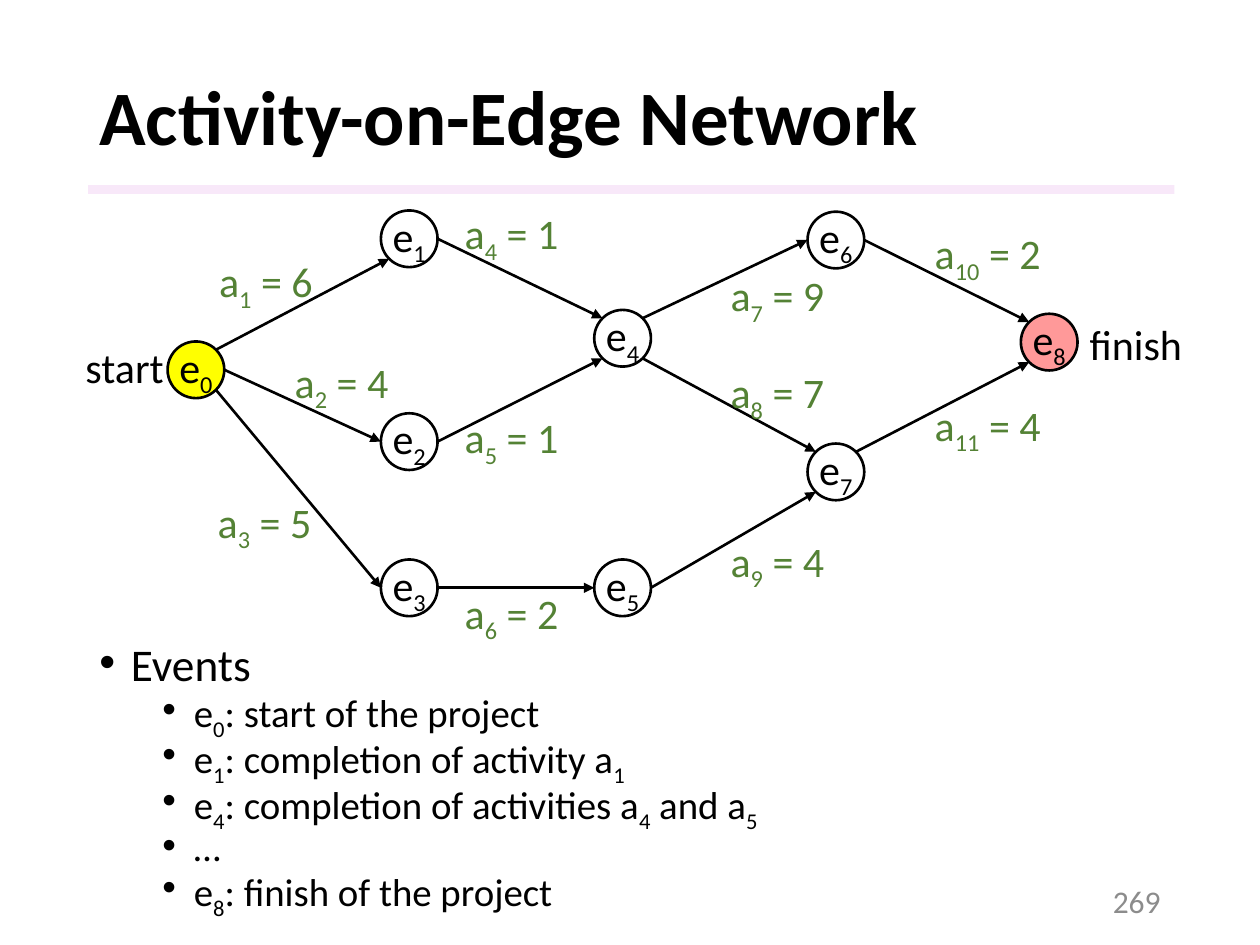
import math

from lxml import etree
from pptx import Presentation
from pptx import util as u
from pptx.dml.color import RGBColor
from pptx.enum import shapes, text
from pptx.oxml import ns

COLORS = {"ink": "000000", "activity": "548235", "number": "8C8C8C",
          "rule": "F3D2F4", "start": "FFFF00", "finish": "FF9999"}
COLUMNS, ROWS = 100, 75
DIAMETER = 4.5

# Events: network column and top row
EVENTS = {0: (0, 27.1), 1: (1, 16.7), 2: (1, 32.8), 3: (1, 44.4), 4: (2, 24.6),
          5: (2, 44.4), 6: (3, 16.8), 7: (3, 35.2), 8: (4, 24.9)}
EVENT_FILLS = {0: "start", 8: "finish"}

# Activities: from event, leaving angle, to event, arriving angle, duration, label place
ACTIVITIES = [
    (0, -45, 1, 135, 6, (16.4, 19.8)),
    (0, 0, 2, 180, 4, (22.4, 27.8)),
    (0, 45, 3, 180, 5, (16.3, 38.9)),
    (1, 0, 4, 225, 1, (35.9, 16)),
    (2, 0, 4, 135, 1, (35.9, 32.2)),
    (3, 0, 5, 180, 2, (35.9, 46.1)),
    (4, -45, 6, 180, 9, (57, 20.9)),
    (4, 45, 7, 225, 7, (57, 28.6)),
    (5, 0, 7, 135, 4, (57, 42)),
    (6, 0, 8, 225, 2, (73.2, 17.6)),
    (7, -45, 8, 135, 4, (73.2, 31.2)),
]

NOTES = ["e[0]: start of the project", "e[1]: completion of activity a[1]",
         "e[4]: completion of activities a[4] and a[5]", "…",
         "e[8]: finish of the project"]


class Board:
    """Holds the style and the current slide; lengths are grid columns and rows."""

    font = "Calibri"

    def __init__(self, deck):
        self.slide = deck.slides.add_slide(deck.slide_layouts[6])
        self.cell = deck.slide_width / COLUMNS, deck.slide_height / ROWS

    def place(self, *lengths):
        return [u.Emu(round(n * self.cell[i % 2])) for i, n in enumerate(lengths)]

    def color(self, name):
        return RGBColor.from_string(COLORS[name])

    def add_words(self, paragraph, words, size, color="ink", **formats):
        """Words in [brackets] are set as subscripts."""
        for i, part in enumerate(words.replace("]", "[").split("[")):
            if not part:
                continue
            run = paragraph.add_run()
            run.text = part
            values = {"name": self.font, "size": u.Pt(size), **formats}
            for key, value in values.items():
                setattr(run.font, key, value)
            run.font.color.rgb = self.color(color)
            if i % 2:
                run._r.get_or_add_rPr().set("baseline", "-25000")

    def frame(self, at, **formats):
        frame = self.slide.shapes.add_textbox(*self.place(*at)).text_frame
        for key, value in {"word_wrap": True, **formats}.items():
            setattr(frame, key, value)
        return frame

    def label(self, at, words, color="ink"):
        frame = self.frame(at, word_wrap=False,
                           auto_size=text.MSO_AUTO_SIZE.SHAPE_TO_FIT_TEXT)
        self.add_words(frame.paragraphs[0], words, 24, color)

    def shape(self, kind, at, fill=None):
        shape = self.slide.shapes.add_shape(kind, *self.place(*at))
        shape.shadow.inherit = False
        if fill:
            shape.fill.solid()
            shape.fill.fore_color.rgb = self.color(fill)
        else:
            shape.fill.background()
        return shape

    def rule(self, at):
        bar = self.shape(shapes.MSO_SHAPE.RECTANGLE, at, "rule")
        bar.line.fill.background()
        tint = bar._element.spPr.find(".//" + ns.qn("a:srgbClr"))
        etree.SubElement(tint, ns.qn("a:alpha"), val="50000")

    def event(self, left, top, words, fill):
        node = self.shape(shapes.MSO_SHAPE.OVAL, (left, top, DIAMETER, DIAMETER), fill)
        node.line.color.rgb = self.color("ink")
        node.line.width = u.Pt(1.5)
        frame = node.text_frame
        formats = {"margin_left": 0, "margin_right": 0, "word_wrap": True,
                   "vertical_anchor": text.MSO_ANCHOR.MIDDLE}
        for key, value in formats.items():
            setattr(frame, key, value)
        frame.paragraphs[0].alignment = text.PP_ALIGN.CENTER
        self.add_words(frame.paragraphs[0], words, 24)

    def arrow(self, start, end):
        arrow = self.slide.shapes.add_connector(
            shapes.MSO_CONNECTOR.STRAIGHT, *self.place(*start, *end))
        arrow.line.color.rgb = self.color("ink")
        arrow.line.width = u.Pt(1.5)
        etree.SubElement(arrow.line._get_or_add_ln(), ns.qn("a:tailEnd"), type="triangle")
        etree.SubElement(arrow._element.spPr, ns.qn("a:effectLst"))

    def bullet(self, paragraph, words, size, indent, before):
        props = paragraph._p.get_or_add_pPr()
        props.set("marL", str(u.Inches(indent)))
        props.set("indent", str(u.Inches(-0.25)))
        etree.SubElement(props, ns.qn("a:buFont"), typeface="Arial")
        etree.SubElement(props, ns.qn("a:buChar"), char="•")
        paragraph.line_spacing = 0.7
        paragraph.space_before = u.Pt(before)
        self.add_words(paragraph, words, size)


def event_place(event):
    column, top = EVENTS[event]
    return 13.3 + 16.93 * column, top


def rim(event, angle):
    """Point on the rim of an event, with the angle turning clockwise from the right."""
    left, top = event_place(event)
    radius, turn = DIAMETER / 2, math.radians(angle)
    return left + radius * (1 + math.cos(turn)), top + radius * (1 + math.sin(turn))


def main():
    deck = Presentation()
    deck.slide_width, deck.slide_height = u.Inches(10), u.Inches(7.5)
    board = Board(deck)

    # Title and rule
    board.rule((7, 14.7, 86.2, 0.7))
    title = board.frame((6.9, 4, 86.2, 11.1), vertical_anchor=text.MSO_ANCHOR.MIDDLE)
    title.paragraphs[0].line_spacing = 0.9
    board.add_words(title.paragraphs[0], "Activity-on-Edge Network", 44, bold=True)

    # Event notes
    notes = board.frame((6.9, 51.2, 55.8, 21.1))
    board.bullet(notes.paragraphs[0], "Events", 25.9, 0.25, 0)
    for note in NOTES:
        paragraph = notes.add_paragraph()
        paragraph.level = 1
        board.bullet(paragraph, note, 22.2, 0.75, 5)

    # Page number
    number = board.frame((70.6, 69.5, 22.5, 4), vertical_anchor=text.MSO_ANCHOR.MIDDLE)
    number.paragraphs[0].alignment = text.PP_ALIGN.RIGHT
    board.add_words(number.paragraphs[0], "269", 18, "number")

    # Network
    for event in EVENTS:
        board.event(*event_place(event), f"e[{event}]", EVENT_FILLS.get(event))
    for i, (source, leave, target, arrive, days, at) in enumerate(ACTIVITIES, 1):
        board.arrow(rim(source, leave), rim(target, arrive))
        width = 9.7 if i < 10 else 10.8
        board.label((*at, width, 5), f"a[{i}] = {days}", "activity")
    board.label((5.8, 26.6, 8.3, 5), "start")
    board.label((85.5, 24.8, 9.5, 5), "finish")

    deck.save("out.pptx")


if __name__ == "__main__":
    main()
